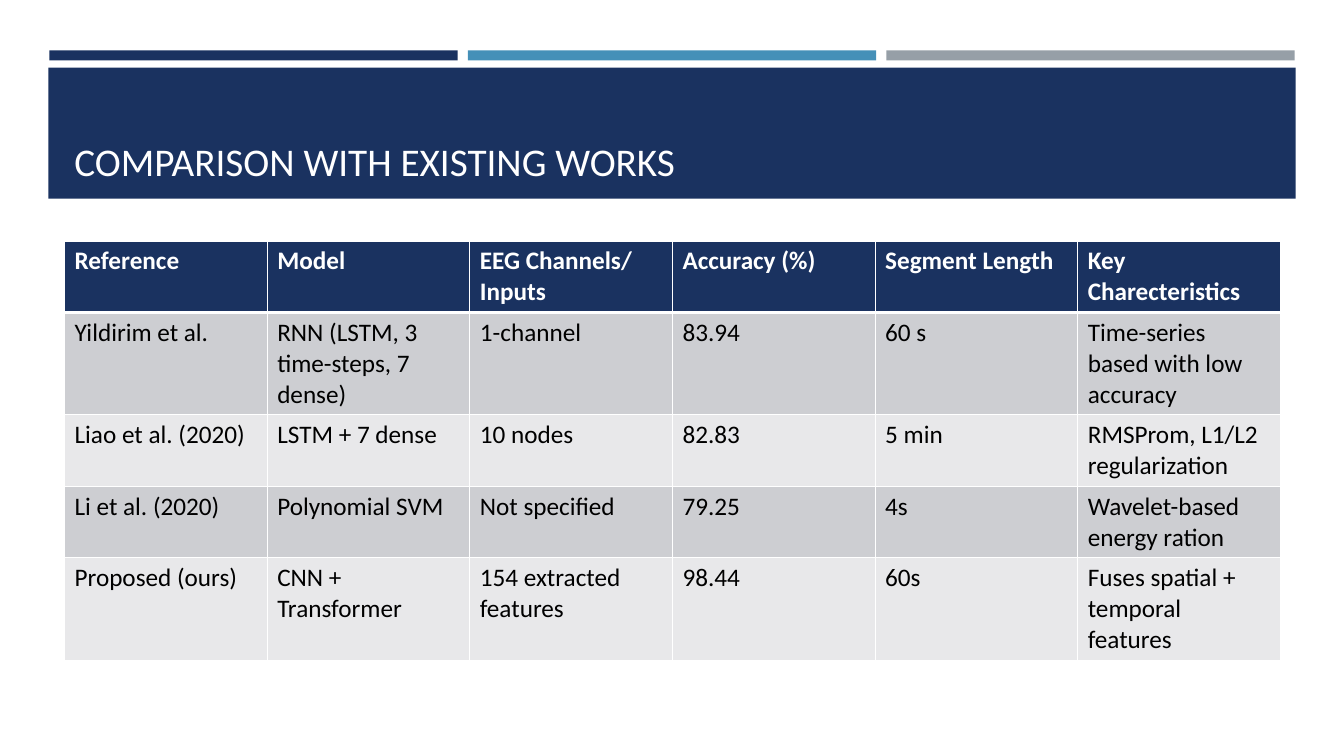
from dataclasses import dataclass

from lxml.etree import SubElement
from pptx import Presentation
from pptx.dml.color import RGBColor
from pptx.enum.shapes import MSO_SHAPE as Preset
from pptx.enum.text import MSO_ANCHOR as Anchor
from pptx.oxml.ns import qn
from pptx.util import Inches, Pt


@dataclass(frozen=True)
class Theme:
    """Colours, font and type sizes of the slide."""

    navy: str = "1A3260"
    blue: str = "4590B8"
    grey: str = "969FA7"
    white: str = "FFFFFF"
    black: str = "000000"
    bands: tuple = ("CDCED2", "E8E8EA")
    font: str = "Calibri"
    title_size: int = 28
    table_size: int = 18
    thin: int = 1
    thick: int = 3


THEME = Theme()
WIDTH, HEIGHT = 13.33, 7.5
STRIP_LEFT, STRIP_TOP, STRIP_WIDTH, STRIP_HEIGHT, STRIP_GAP = 0.49, 0.5, 4.05, 0.1, 0.1
CONTENT_LEFT, CONTENT_WIDTH = 0.64, 12.06
TABLE_TOP = 2.39
CELL_PADDING, LINE_HEIGHT = 0.1, 0.305
LINES_PER_ROW = (2, 3, 2, 2, 3)
ROWS = (
    ("Reference", "Model", "EEG Channels/ Inputs", "Accuracy (%)", "Segment Length", "Key Charecteristics"),
    ("Yildirim et al.", "RNN (LSTM, 3 time-steps, 7 dense)", "1-channel", "83.94", "60 s",
     "Time-series based with low accuracy"),
    ("Liao et al. (2020)", "LSTM + 7 dense", "10 nodes", "82.83", "5 min", "RMSProm, L1/L2 regularization"),
    ("Li et al. (2020)", "Polynomial SVM", "Not specified", "79.25", "4s", "Wavelet-based energy ration"),
    ("Proposed (ours)", "CNN + Transformer", "154 extracted features", "98.44", "60s",
     "Fuses spatial + temporal features"),
)


def add_bar(slide, left, top, width, height, color):
    """Draw a plain filled rectangle."""
    bar = slide.shapes.add_shape(Preset.RECTANGLE, *map(Inches, (left, top, width, height)))
    bar.shadow.inherit = False
    bar.fill.solid()
    bar.fill.fore_color.rgb = RGBColor.from_string(color)
    bar.line.fill.background()


def add_run(paragraph, text, size, color, bold=False):
    """Append one formatted run."""
    run = paragraph.add_run()
    run.text = text
    run.font.name = THEME.font
    run.font.size = Pt(size)
    run.font.bold = bold
    run.font.color.rgb = RGBColor.from_string(color)


def add_title(slide, text):
    """Draw the banner and the title that sits at its foot."""
    add_bar(slide, 0.48, 0.67, 12.37, 1.3, THEME.navy)
    box = slide.shapes.add_textbox(*map(Inches, (CONTENT_LEFT, 0.77, CONTENT_WIDTH, 1.11)))
    frame = box.text_frame
    frame.word_wrap = True
    frame.vertical_anchor = Anchor.BOTTOM
    add_run(frame.paragraphs[0], text, THEME.title_size, THEME.white)


def set_borders(cell, top, bottom):
    """Give a cell white borders, with the top and bottom widths in points."""
    properties = cell._tc.get_or_add_tcPr()
    widths = {"a:lnL": THEME.thin, "a:lnR": THEME.thin, "a:lnT": top, "a:lnB": bottom}
    for position, (tag, width) in enumerate(widths.items()):
        line = SubElement(properties, qn(tag), w=str(Pt(width)))
        SubElement(SubElement(line, qn("a:solidFill")), qn("a:srgbClr"), val=THEME.white)
        properties.insert(position, line)


def add_comparison_table(slide):
    """Draw the table with a navy header and banded rows."""
    heights = [Inches(CELL_PADDING + LINE_HEIGHT * lines) for lines in LINES_PER_ROW]
    table = slide.shapes.add_table(
        len(ROWS), len(ROWS[0]), Inches(CONTENT_LEFT), Inches(TABLE_TOP), Inches(CONTENT_WIDTH), sum(heights)
    ).table
    for row_index, texts in enumerate(ROWS):
        table.rows[row_index].height = heights[row_index]
        header = row_index == 0
        fill = THEME.navy if header else THEME.bands[(row_index - 1) % 2]
        top = THEME.thick if row_index == 1 else THEME.thin
        bottom = THEME.thick if header else THEME.thin
        for column_index, text in enumerate(texts):
            cell = table.cell(row_index, column_index)
            cell.fill.solid()
            cell.fill.fore_color.rgb = RGBColor.from_string(fill)
            set_borders(cell, top, bottom)
            color = THEME.white if header else THEME.black
            add_run(cell.text_frame.paragraphs[0], text, THEME.table_size, color, header)


def main():
    """Build and save the slide."""
    presentation = Presentation()
    presentation.slide_width, presentation.slide_height = Inches(WIDTH), Inches(HEIGHT)
    slide = presentation.slides.add_slide(presentation.slide_layouts[6])
    for column, color in enumerate((THEME.navy, THEME.blue, THEME.grey)):
        left = STRIP_LEFT + column * (STRIP_WIDTH + STRIP_GAP)
        add_bar(slide, left, STRIP_TOP, STRIP_WIDTH, STRIP_HEIGHT, color)
    add_title(slide, "COMPARISON WITH EXISTING WORKS")
    add_comparison_table(slide)
    presentation.save("out.pptx")


if __name__ == "__main__":
    main()
